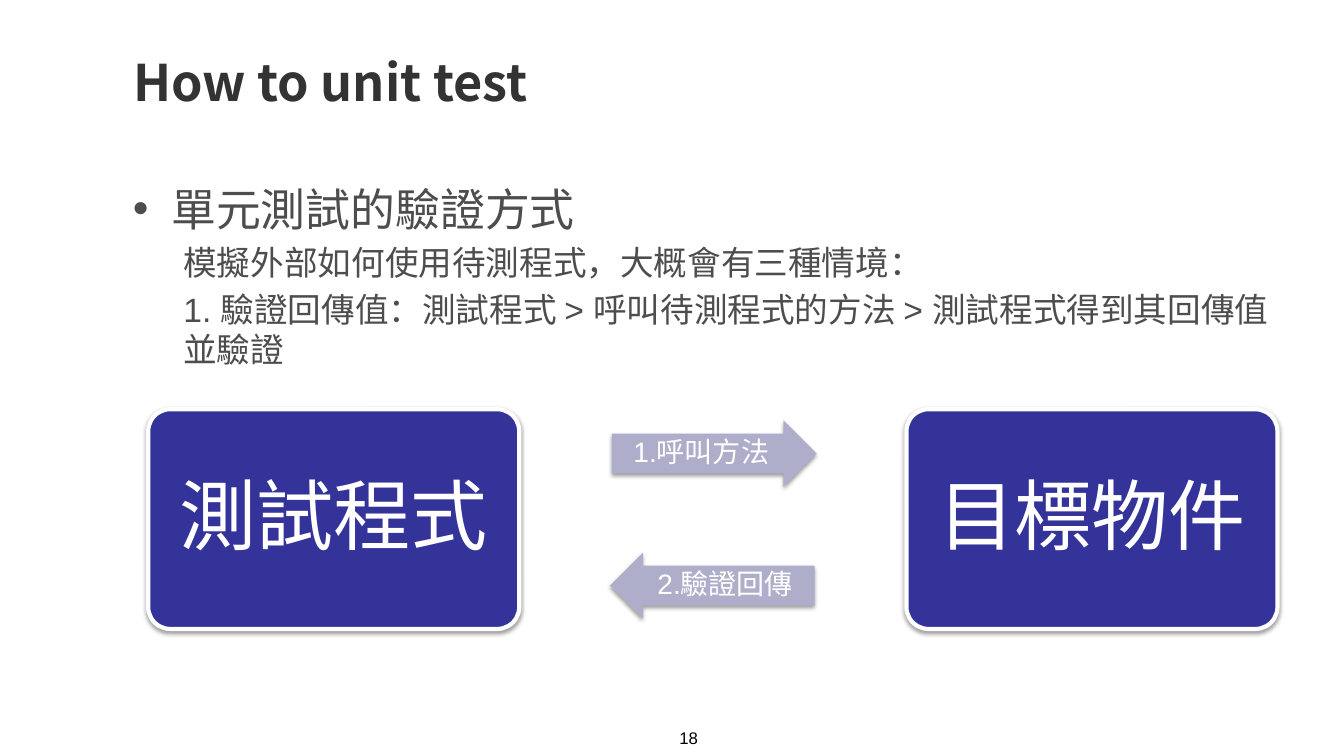
from dataclasses import dataclass
from lxml.etree import SubElement
from pptx import Presentation
from pptx.dml.color import RGBColor
from pptx.enum.shapes import MSO_SHAPE as Shape
from pptx.enum.text import MSO_ANCHOR as Anchor, PP_ALIGN as Align
from pptx.oxml.ns import qn
from pptx.util import Inches, Pt


@dataclass(frozen=True)
class Theme:
    title_font: str = "Noto Sans CJK SC"
    body_font: str = "Arial"
    title_color: str = "333333"
    body_color: str = "4D4D4D"
    box_fill: str = "333399"
    arrow_fill: str = "AEAECA"
    white: str = "FFFFFF"
    black: str = "000000"
    title_size: int = 36
    topic_size: int = 32
    detail_size: int = 24
    box_size: int = 55
    arrow_size: int = 20
    number_size: int = 12


THEME = Theme()

HEADING = "How to unit test"
PAGE_NUMBER = "18"
TOPIC = "單元測試的驗證方式"
DETAILS = [
    "模擬外部如何使用待測程式，大概會有三種情境：",
    "1. 驗證回傳值：測試程式 > 呼叫待測程式的方法 > 測試程式得到其回傳值並驗證",
]
ACTORS = ["測試程式", "目標物件"]
CALLS = [
    ("1.呼叫方法", Shape.RIGHT_ARROW, 6.07, (0, 0.06)),
    ("2.驗證回傳", Shape.LEFT_ARROW, 6.05, (0.06, 0)),
]

ACTOR_LEFT, ACTOR_TOP, ACTOR_STEP = 1.47, 4.06, 7.52
ACTOR_WIDTH, ACTOR_HEIGHT = 3.68, 2.18
CALL_TOP, CALL_STEP = 4.17, 1.31
CALL_WIDTH, CALL_HEIGHT = 2.03, 0.66


def add_run(paragraph, text, size, color, font=THEME.body_font, bold=False):
    run = paragraph.add_run()
    run.text = text
    run.font.name = font
    run.font.size = Pt(size)
    run.font.bold = bold
    run.font.color.rgb = RGBColor.from_string(color)


def set_indent(paragraph, margin, first_line, bullet=None):
    properties = paragraph._p.get_or_add_pPr()
    properties.set("marL", str(Inches(margin)))
    properties.set("indent", str(Inches(first_line)))
    if bullet:
        SubElement(properties, qn("a:buFont"), typeface=THEME.body_font)
        SubElement(properties, qn("a:buChar"), char=bullet)
    else:
        SubElement(properties, qn("a:buNone"))


def add_shadow(shape):
    shape.shadow.inherit = False
    effects = shape._element.spPr.find(qn("a:effectLst"))
    shadow = SubElement(effects, qn("a:outerShdw"), blurRad=str(Pt(3.1)),
                        dist=str(Pt(1.6)), dir="5400000", rotWithShape="0")
    color = SubElement(shadow, qn("a:srgbClr"), val=THEME.black)
    SubElement(color, qn("a:alpha"), val="38000")


def add_block(slide, kind, place, adjustments, fill, text, size, insets):
    block = slide.shapes.add_shape(kind, *map(Inches, place))
    for index, value in enumerate(adjustments):
        block.adjustments[index] = value
    block.fill.solid()
    block.fill.fore_color.rgb = RGBColor.from_string(fill)
    block.line.fill.background()
    add_shadow(block)
    frame = block.text_frame
    frame.word_wrap = True
    frame.vertical_anchor = Anchor.MIDDLE
    frame.margin_left, frame.margin_right = map(Inches, insets)
    frame.margin_top = frame.margin_bottom = 0
    label = frame.paragraphs[0]
    label.alignment = Align.CENTER
    label.line_spacing = 0.9
    add_run(label, text, size, THEME.white)
    return block


def add_title(slide):
    title = slide.shapes.title
    title.left, title.top, title.width, title.height = map(
        Inches, (1.22, 0.45, 11.44, 0.71))
    title.text_frame.vertical_anchor = Anchor.MIDDLE
    heading = title.text_frame.paragraphs[0]
    heading.alignment = Align.LEFT
    add_run(heading, HEADING, THEME.title_size, THEME.title_color,
            THEME.title_font, True)


def add_body(slide):
    body = slide.shapes.add_textbox(*map(Inches, (1.22, 1.75, 11.78, 4.95)))
    frame = body.text_frame
    frame.word_wrap = True
    topic = frame.paragraphs[0]
    topic.space_before = Pt(THEME.topic_size * 0.2)
    set_indent(topic, 0.38, -0.38, "•")
    add_run(topic, TOPIC, THEME.topic_size, THEME.body_color)
    for text in DETAILS:
        detail = frame.add_paragraph()
        detail.level = 1
        detail.space_before = Pt(THEME.detail_size * 0.2)
        set_indent(detail, 0.5, 0)
        add_run(detail, text, THEME.detail_size, THEME.body_color)


def add_page_number(slide):
    number = slide.shapes.add_textbox(*map(Inches, (6.44, 7.17, 0.78, 0.42)))
    number.text_frame.word_wrap = True
    paragraph = number.text_frame.paragraphs[0]
    paragraph.alignment = Align.CENTER
    add_run(paragraph, PAGE_NUMBER, THEME.number_size, THEME.black)


def add_diagram(slide):
    for column, text in enumerate(ACTORS):
        place = (ACTOR_LEFT + column * ACTOR_STEP, ACTOR_TOP,
                 ACTOR_WIDTH, ACTOR_HEIGHT)
        actor = add_block(slide, Shape.ROUNDED_RECTANGLE, place, [0.1],
                          THEME.box_fill, text, THEME.box_size, (0.1, 0.1))
        actor.line.color.rgb = RGBColor.from_string(THEME.white)
        actor.line.width = Pt(3)
    for row, (text, arrow, left, insets) in enumerate(CALLS):
        place = (left, CALL_TOP + row * CALL_STEP, CALL_WIDTH, CALL_HEIGHT)
        add_block(slide, arrow, place, [0.6, 0.5], THEME.arrow_fill,
                  text, THEME.arrow_size, insets)


def main():
    deck = Presentation()
    deck.slide_width, deck.slide_height = Inches(13.33), Inches(7.5)
    slide = deck.slides.add_slide(deck.slide_layouts[5])
    add_body(slide)
    add_title(slide)
    add_page_number(slide)
    add_diagram(slide)
    deck.save("out.pptx")


if __name__ == "__main__":
    main()
